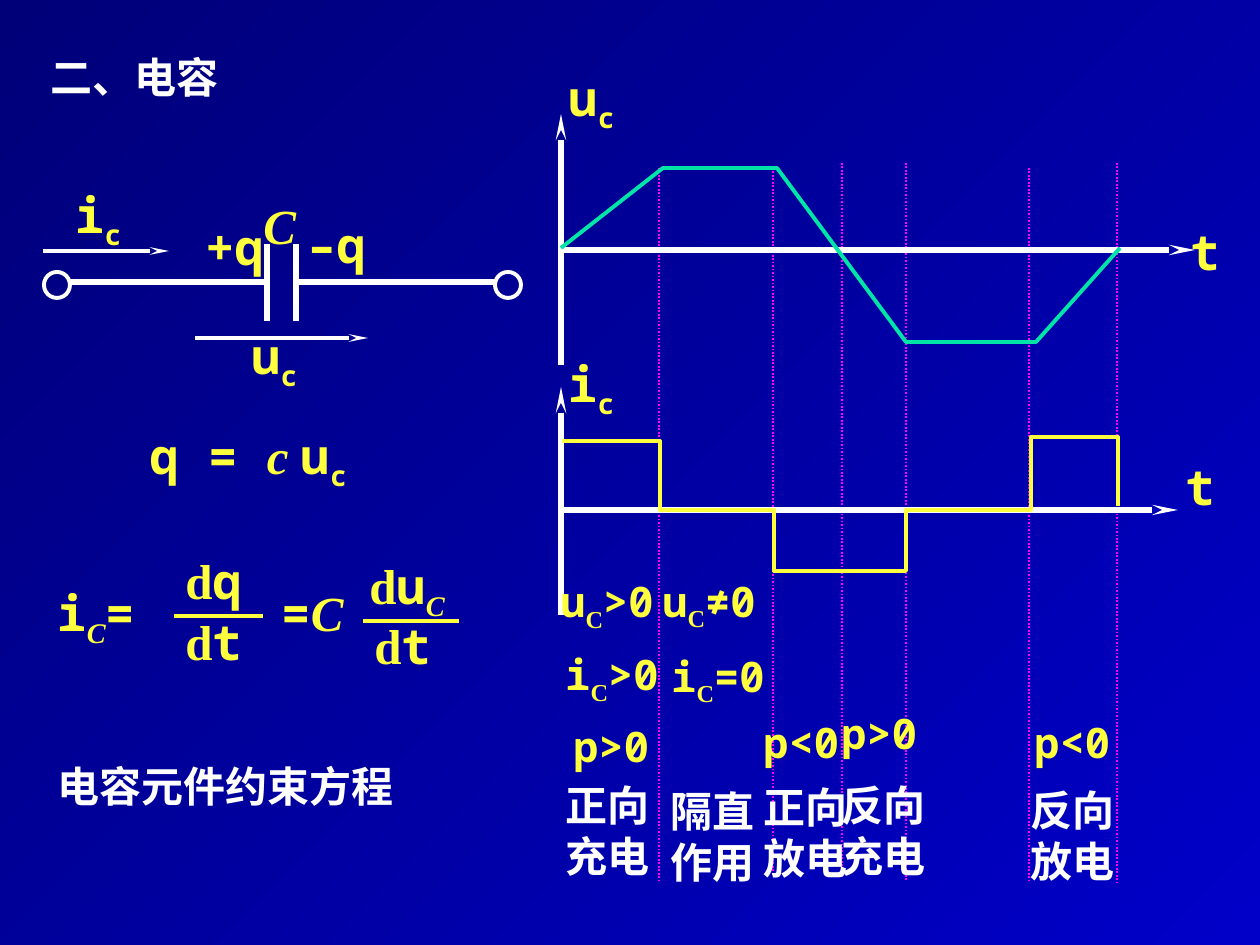
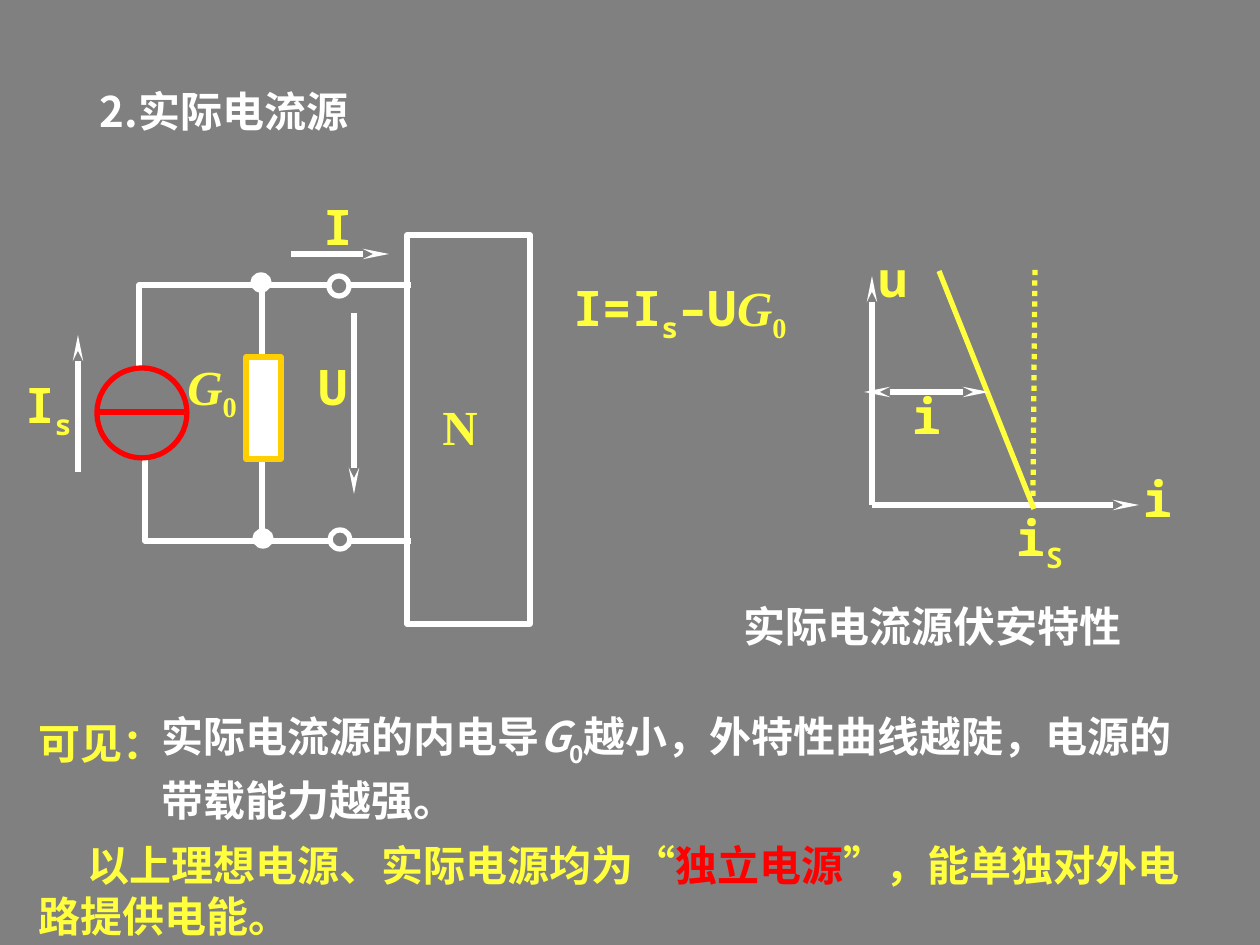
"""Builds two circuit-theory slides: the capacitor and the real current source."""
from lxml import etree
from pptx import Presentation
from pptx import util as u
from pptx.dml.color import RGBColor
from pptx.enum import dml, shapes, text
from pptx.oxml.ns import qn

PX = 914400 / 126
COLORS = {"white": "FFFFFF", "yellow": "FFFF3D", "red": "FF0000", "magenta": "FF00FF",
          "green": "00E4A8", "gold": "FFCF01", "navy": "000078", "blue": "0000C8",
          "gray": "808080"}
MONO, SERIF, CJK = "Noto Sans Mono", "Times New Roman", "Noto Sans CJK SC"
ASCENT = {MONO: 1.07, SERIF: 0.89}
STYLES = {
    "mono": (MONO, False, False), "mono sub": (MONO, False, True),
    "serif": (SERIF, False, False), "serif sub": (SERIF, False, True),
    "serif italic": (SERIF, True, False), "serif italic sub": (SERIF, True, True),
    "cjk": (CJK, False, False), "cjk italic": (CJK, True, False), "cjk sub": (CJK, False, True),
}


def mono(label, sub=None):
    return [(label, "mono")] + ([(sub, "mono sub")] if sub else [])


def fraction(bottom_or_top):
    return [("d", "serif"), (bottom_or_top, "mono")]


def state(quantity, relation):
    return [(quantity, "mono"), ("C", "serif sub"), (relation, "mono")]


def chinese(words):
    return [(words, "cjk")]


CAPACITOR = {
    "title": ("二、电容", (38, 30, 231, 74)),
    "lines": [
        (dict(width=3), [(267, 244, 267, 321), (296, 244, 296, 321),
                         (296, 282, 496, 282), (70, 282, 267, 282)]),
        (dict(arrows=["tailEnd"]), [(195, 338, 368, 338), (43, 251, 169, 251)]),
        (dict(color="yellow"), [(174, 616, 263, 616), (363, 621, 459, 621)]),
        (dict(color="magenta", width=1, dotted=True),
         [(659, 168, 659, 880), (773, 168, 773, 876), (842, 163, 842, 877),
          (906, 163, 906, 880), (1029, 168, 1029, 880), (1117, 163, 1117, 885)]),
        (dict(width=3, arrows=["tailEnd"]),
         [(564, 510, 1178, 510), (561, 615, 561, 387),
          (563, 250, 1195, 250), (561, 365, 561, 114)]),
    ],
    "curves": [
        (dict(color="yellow"),
         [(562, 441), (660, 441), (660, 510), (774, 510), (774, 571), (906, 571),
          (906, 510), (1031, 510), (1031, 437), (1118, 437), (1118, 506)]),
        (dict(color="green"),
         [(561, 248), (663, 168), (777, 168), (906, 342), (1036, 342), (1120, 248)]),
    ],
    "shapes": [("OVAL", (495, 272, 26, 26), {}), ("OVAL", (44, 272, 26, 26), {})],
    "texts": [
        (28, 72, [
            (137, 421, 231, [("q = ", "mono"), ("c ", "serif italic"),
                             ("u", "mono"), ("c", "mono sub")]),
            (251, 183, 79, [("C", "serif italic")]),
            (193, 212, 111, mono("+q")),
            (295, 210, 126, mono("–q")),
            (239, 321, 100, mono("u", "c")),
            (63, 180, 103, mono("i", "c")),
            (45, 578, 120, [("i", "mono"), ("C", "serif italic sub"), ("=", "mono")]),
            (269, 578, 110, [("=", "mono"), ("C", "serif italic")]),
            (173, 546, 106, fraction("q")),
            (173, 607, 106, fraction("t")),
            (357, 551, 139, fraction("u") + [("C", "serif italic sub")]),
            (362, 611, 106, fraction("t")),
            (556, 349, 98, mono("i", "c")),
            (1173, 452, 87, mono("t")),
            (556, 63, 95, mono("u", "c")),
            (1178, 217, 82, mono("t")),
        ]),
        (24, 63, [
            (45, 750, 438, chinese("电容元件约束方程")),
            (548, 572, 134, state("u", ">0")),
            (553, 645, 129, state("i", ">0")),
            (650, 571, 158, state("u", "≠0")),
            (659, 646, 129, state("i", "=0")),
            (561, 716, 113, mono("p>0")),
            (751, 713, 126, mono("p<0")),
            (829, 704, 113, mono("p>0")),
            (1022, 713, 116, mono("p<0")),
        ]),
        (24, 113, [
            (553, 769, 120, chinese("正向充电")),
            (658, 775, 130, chinese("隔直作用")),
            (751, 771, 120, chinese("正向放电")),
            (829, 769, 120, chinese("反向充电")),
            (1018, 774, 120, chinese("反向放电")),
        ]),
    ],
}

SOURCE = {
    "title": ("2.实际电流源", (87, 69, 368, 69)),
    "lines": [
        (dict(width=3), [(349, 285, 411, 285), (350, 541, 411, 541),
                         (262, 285, 262, 358), (262, 457, 262, 538)]),
        (dict(color="red", width=3), [(184, 412, 97, 412)]),
        (dict(width=3, arrows=["tailEnd"]),
         [(78, 472, 78, 335), (354, 313, 354, 494), (291, 254, 389, 254),
          (872, 505, 1139, 505), (872, 505, 872, 276)]),
        (dict(color="yellow", width=3, dotted=True), [(1033, 496, 1035, 267)]),
        (dict(color="yellow", width=3), [(1034, 509, 939, 271)]),
        (dict(width=3, arrows=["headEnd", "tailEnd"]), [(864, 392, 989, 392)]),
    ],
    "curves": [
        (dict(width=3), [(139, 369), (139, 285), (329, 285)]),
        (dict(width=3), [(145, 457), (145, 541), (331, 541)]),
    ],
    "shapes": [
        ("OVAL", (329, 276, 20, 20), dict(width=3)),
        ("OVAL", (330, 530, 20, 19), dict(width=3)),
        ("OVAL", (97, 368, 90, 90), dict(color="red", width=3)),
        ("RECTANGLE", (407, 235, 123, 389), dict(width=3)),
        ("OVAL", (253, 529, 20, 19), dict(fill="white", width=0.75)),
        ("OVAL", (251, 273, 20, 19), dict(fill="white", width=0.75)),
        ("RECTANGLE", (246, 357, 35, 102), dict(fill="white", color="gold", width=3)),
    ],
    "texts": [
        (28, 72, [
            (561, 273, 263, mono("I=I", "s") + mono("–U") +
             [("G", "serif italic"), ("0", "serif sub")]),
            (430, 384, 96, [("N", "serif")]),
            (175, 344, 91, [("G", "serif italic"), ("0", "serif sub")]),
            (306, 352, 77, mono("U")),
            (311, 192, 77, mono("I")),
            (13, 370, 78, mono("I", "s")),
            (1131, 464, 68, mono("i")),
            (866, 244, 77, mono("u")),
            (900, 381, 100, mono("i")),
            (1004, 503, 105, mono("i", "S")),
        ]),
        (24, 63, [
            (731, 590, 481, chinese("实际电流源伏安特性")),
            (26, 707, 186, [("可见：", "cjk", "yellow")]),
        ]),
        (24, 113, [
            (149, 707, 1050, [
                ("实际电流源的内电导", "cjk"), ("G", "cjk italic"), ("0", "cjk sub"),
                ("越小，外特性曲线越陡，电源的带载能力越强。", "cjk")], dict(spacing=32.5)),
            (26, 829, 1205, [
                ("以上理想电源、实际电源均为“", "cjk", "yellow"), ("独立电源", "cjk", "red"),
                ("”，能单独对外电路提供电能。", "cjk", "yellow")], dict(indent=49)),
        ]),
    ],
}


def px(value):
    return u.Emu(round(value * PX))


def rgb(name):
    return RGBColor.from_string(COLORS[name])


def write(shape, runs, size=24, spacing=29, indent=0, anchor=text.MSO_ANCHOR.TOP):
    frame = shape.text_frame
    frame.word_wrap = True
    frame.auto_size = text.MSO_AUTO_SIZE.NONE
    frame.vertical_anchor = anchor
    paragraph = frame.paragraphs[0]
    paragraph.alignment = text.PP_ALIGN.LEFT
    paragraph.space_before = u.Pt(0)
    if indent:
        paragraph._p.get_or_add_pPr().set("indent", str(px(indent)))
    em = size * 1.75
    fonts = [STYLES[run[1]][0] for run in runs]
    if CJK in fonts:
        paragraph.line_spacing = u.Pt(spacing)
        baseline = spacing * 1.75 - 0.288 * em
        frame.margin_bottom = px(2)
    else:
        baseline = max(ASCENT[font] for font in fonts) * em
    frame.margin_top = px(round(6 + 1.02 * em - baseline))
    for words, style, *color in runs:
        name, italic, subscript = STYLES[style]
        run = paragraph.add_run()
        run.text = words
        font = run.font
        font.name, font.size, font.bold, font.italic = name, u.Pt(size), True, italic
        font.color.rgb = rgb(color[0] if color else "white" if name == CJK else "yellow")
        properties = run._r.get_or_add_rPr()
        if subscript:
            properties.set("baseline", "-25000")
        east_asian = etree.Element(qn("a:ea"), typeface=name)
        properties.find(qn("a:latin")).addnext(east_asian)


def style_line(line, color="white", width=2.25, dotted=False, arrows=()):
    line.color.rgb = rgb(color)
    line.width = u.Pt(width)
    if dotted:
        line.dash_style = dml.MSO_LINE.ROUND_DOT
    for end in arrows:
        etree.SubElement(line._get_or_add_ln(), qn("a:" + end), type="stealth", w="sm", len="lg")


def finish(shape, fill=None, **line_format):
    shape.shadow.inherit = False
    if fill:
        shape.fill.solid()
        shape.fill.fore_color.rgb = rgb(fill)
    else:
        shape.fill.background()
    style_line(shape.line, **line_format)


def draw(slide, content):
    words, place = content["title"]
    title = slide.shapes.title
    title.left, title.top, title.width, title.height = map(px, place)
    write(title, chinese(words), anchor=text.MSO_ANCHOR.BOTTOM)
    for line_format, segments in content["lines"]:
        for segment in segments:
            connector = slide.shapes.add_connector(
                shapes.MSO_CONNECTOR.STRAIGHT, *map(px, segment))
            style_line(connector.line, **line_format)
            etree.SubElement(connector._element.spPr, qn("a:effectLst"))
    for line_format, points in content["curves"]:
        start, *rest = [(px(x), px(y)) for x, y in points]
        builder = slide.shapes.build_freeform(*start)
        builder.add_line_segments(rest, close=False)
        finish(builder.convert_to_shape(), **line_format)
    for kind, place, shape_format in content["shapes"]:
        finish(slide.shapes.add_shape(shapes.MSO_SHAPE[kind], *map(px, place)), **shape_format)
    for size, height, boxes in content["texts"]:
        for left, top, width, runs, *extra in boxes:
            box = slide.shapes.add_textbox(*map(px, (left, top, width, height)))
            write(box, runs, size=size, **(extra[0] if extra else {}))


def main():
    presentation = Presentation()
    presentation.slide_width, presentation.slide_height = px(1260), px(945)
    capacitor, source = [presentation.slides.add_slide(presentation.slide_layouts[5])
                         for _ in range(2)]
    gradient = capacitor.background.fill
    gradient.gradient()
    gradient.gradient_angle = 315
    for stop, position, color in zip(gradient.gradient_stops, (0, 1), ("navy", "blue")):
        stop.position = position
        stop.color.rgb = rgb(color)
    source.background.fill.solid()
    source.background.fill.fore_color.rgb = rgb("gray")
    draw(capacitor, CAPACITOR)
    draw(source, SOURCE)
    presentation.save("out.pptx")


if __name__ == "__main__":
    main()
